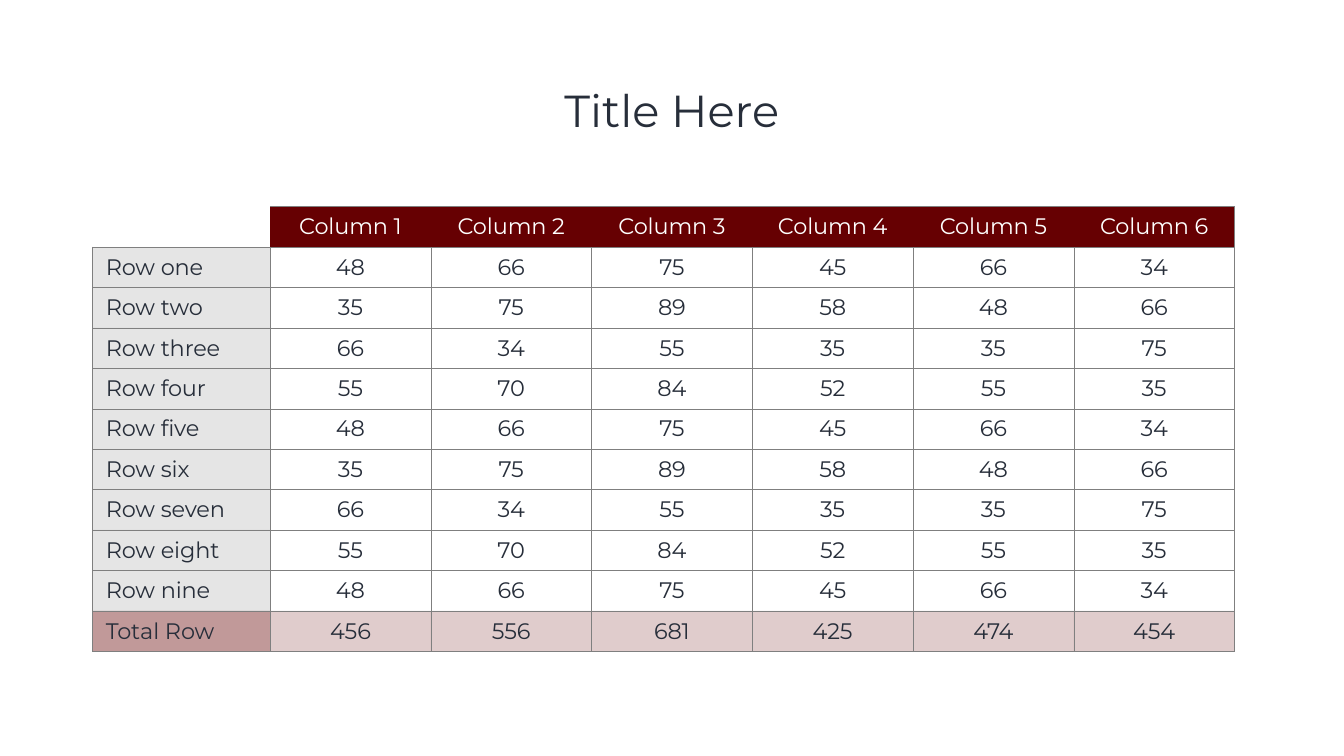
"""Build a slide with a title and a table of nine rows, six columns and totals."""
import lxml.etree
import pptx
import pptx.dml.color
import pptx.enum.text
import pptx.oxml.ns
import pptx.util

Inches = pptx.util.Inches
Pt = pptx.util.Pt
RGBColor = pptx.dml.color.RGBColor
Align = pptx.enum.text.PP_ALIGN
Anchor = pptx.enum.text.MSO_ANCHOR
qn = pptx.oxml.ns.qn

FONT = "Montserrat"
INK = RGBColor(0x27, 0x2E, 0x3A)
WHITE = RGBColor(0xFF, 0xFF, 0xFF)
MAROON = RGBColor(0x66, 0x00, 0x02)
GREY = RGBColor(0x55, 0x55, 0x55)
RULE = RGBColor(0x7F, 0x7F, 0x7F)
PLAIN_STYLE = "{2D5ABB26-0587-4C30-8999-92F81FD0307C}"

LABEL_WIDTH, COLUMN_WIDTH, ROW_HEIGHT = 3.53, 3.19, 0.8
ROWS = [
    ["", "Column 1", "Column 2", "Column 3", "Column 4", "Column 5", "Column 6"],
    ["Row one", 48, 66, 75, 45, 66, 34],
    ["Row two", 35, 75, 89, 58, 48, 66],
    ["Row three", 66, 34, 55, 35, 35, 75],
    ["Row four", 55, 70, 84, 52, 55, 35],
    ["Row five", 48, 66, 75, 45, 66, 34],
    ["Row six", 35, 75, 89, 58, 48, 66],
    ["Row seven", 66, 34, 55, 35, 35, 75],
    ["Row eight", 55, 70, 84, 52, 55, 35],
    ["Row nine", 48, 66, 75, 45, 66, 34],
    ["Total Row", 456, 556, 681, 425, 474, 454],
]
LAST_ROW, LAST_COLUMN = len(ROWS) - 1, len(ROWS[0]) - 1


def style_font(font, size, color):
    """Set the typeface, size and colour of a font."""
    font.name = FONT
    font.size = Pt(size)
    font.color.rgb = color


def add_title(page, text):
    """Place and format the title placeholder."""
    title = page.shapes.title
    title.left, title.top = Inches(1.83), Inches(0.8)
    title.width, title.height = Inches(23), Inches(2.9)
    title.text_frame.text = text
    title.text_frame.vertical_anchor = Anchor.MIDDLE
    para = title.text_frame.paragraphs[0]
    para.alignment = Align.CENTER
    para.line_spacing = 0.9
    style_font(para.runs[0].font, 64, INK)


def fill_cell(cell, color, opacity):
    """Fill a cell with a colour at a percentage of opacity."""
    cell.fill.solid()
    cell.fill.fore_color.rgb = color
    if opacity < 100:
        swatch = cell._tc.tcPr.find(".//" + qn("a:srgbClr"))
        lxml.etree.SubElement(swatch, qn("a:alpha"), val=str(opacity * 1000))


def border_cell(cell, sides):
    """Draw thin rules on the given sides, listed in the order L, R, T, B."""
    properties = cell._tc.get_or_add_tcPr()
    for position, side in enumerate(sides):
        line = lxml.etree.Element(qn("a:ln" + side), w=str(Pt(0.5)))
        properties.insert(position, line)
        solid = lxml.etree.SubElement(line, qn("a:solidFill"))
        swatch = lxml.etree.SubElement(solid, qn("a:srgbClr"), val=str(RULE))
        lxml.etree.SubElement(swatch, qn("a:alpha"), val="50000")


def cell_fill(row, column):
    """Return the colour and opacity for a table position, or None."""
    if row == 0:
        return (MAROON, 100) if column else None
    if row == LAST_ROW:
        return MAROON, 20 if column else 40
    return None if column else (GREY, 15)


def cell_sides(row, column):
    """Return the sides of a table position that carry a rule."""
    if row:
        return "LRTB"
    if column == 0:
        return "B"
    return "RTB" if column == LAST_COLUMN else "TB"


def write_cell(cell, text, color, alignment, anchor):
    """Write and format the text of a cell."""
    cell.margin_left = cell.margin_right = Inches(0.27)
    cell.margin_top = cell.margin_bottom = Inches(0.13)
    cell.vertical_anchor = anchor
    cell.text_frame.text = text
    para = cell.text_frame.paragraphs[0]
    para.alignment = alignment
    style_font(para.font, 32, color)
    for span in para.runs:
        style_font(span.font, 32, color)
        span.font._element.set("spc", "-20")


def add_data_table(page):
    """Add the table and format every cell by its position."""
    width = LABEL_WIDTH + LAST_COLUMN * COLUMN_WIDTH
    table = page.shapes.add_table(
        len(ROWS), len(ROWS[0]), Inches(1.83), Inches(4.1),
        Inches(width), Inches(len(ROWS) * ROW_HEIGHT)).table
    table.first_row = table.horz_banding = False
    table._tbl.tblPr.find(qn("a:tableStyleId")).text = PLAIN_STYLE
    for index, column in enumerate(table.columns):
        column.width = Inches(COLUMN_WIDTH if index else LABEL_WIDTH)
    for row, values in enumerate(ROWS):
        table.rows[row].height = Inches(ROW_HEIGHT)
        for column, value in enumerate(values):
            cell = table.cell(row, column)
            write_cell(
                cell, str(value), INK if row else WHITE,
                Align.CENTER if column else Align.LEFT,
                Anchor.BOTTOM if row == LAST_ROW and column else Anchor.MIDDLE)
            paint = cell_fill(row, column)
            if paint:
                fill_cell(cell, *paint)
            else:
                cell.fill.background()
            border_cell(cell, cell_sides(row, column))


def main():
    """Create the deck and save it."""
    deck = pptx.Presentation()
    deck.slide_width, deck.slide_height = Inches(26.67), Inches(15)
    page = deck.slides.add_slide(deck.slide_layouts.get_by_name("Title Only"))
    add_title(page, "Title Here")
    add_data_table(page)
    deck.save("out.pptx")


if __name__ == "__main__":
    main()
